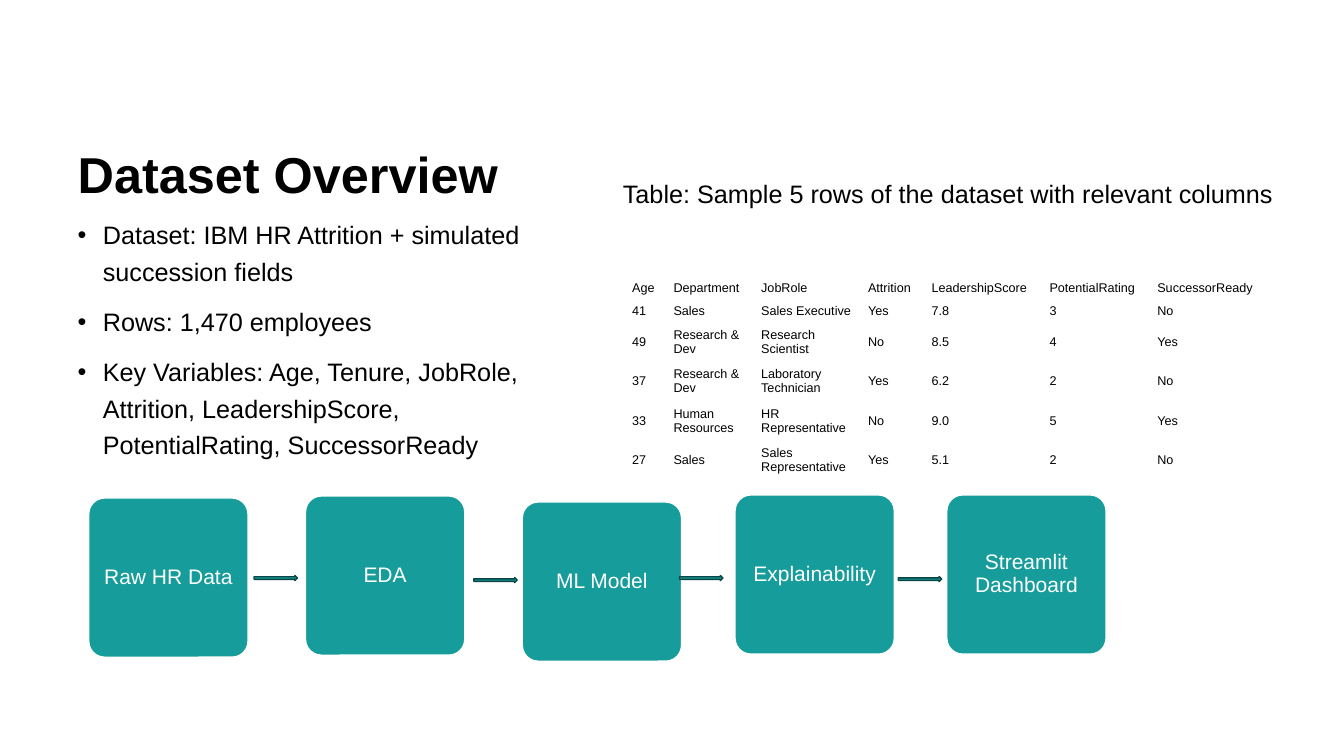
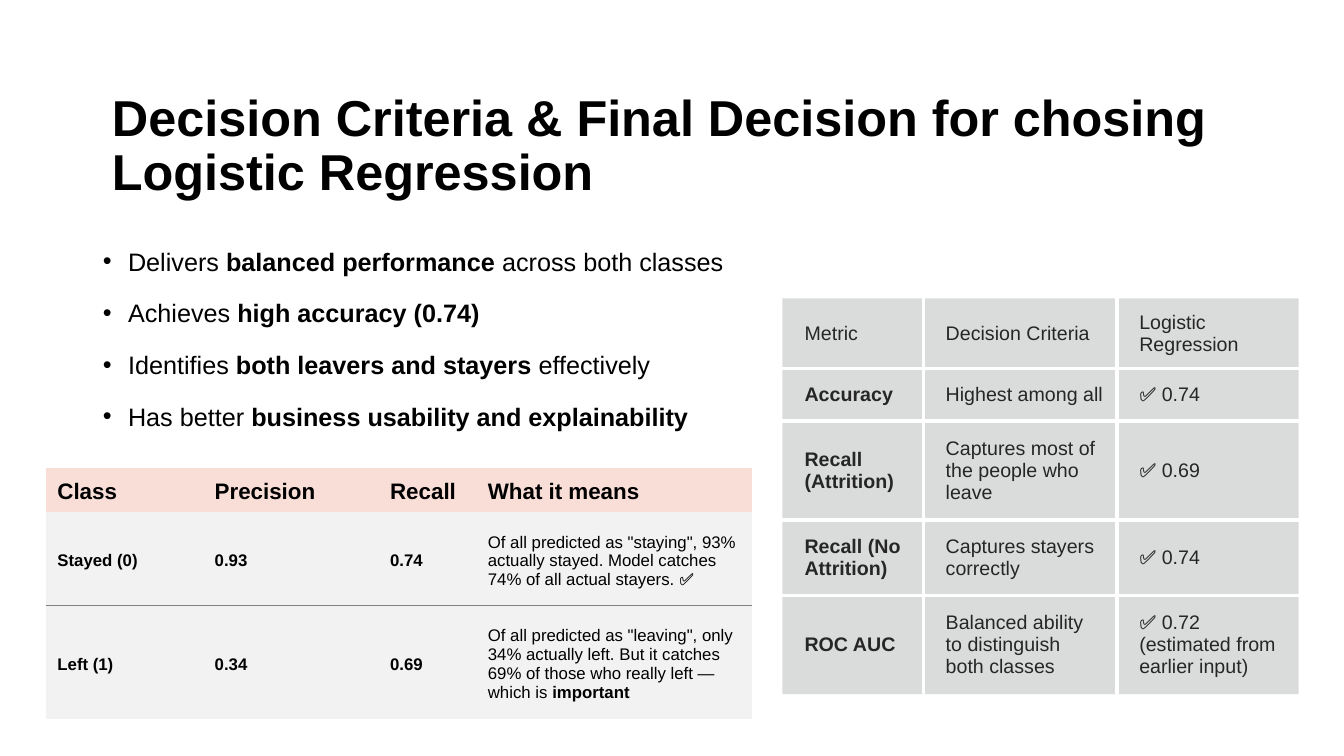
from dataclasses import dataclass
from typing import Optional

from lxml.etree import SubElement
from pptx import Presentation
from pptx.dml.color import RGBColor
from pptx.dml.fill import FillFormat
from pptx.enum.shapes import MSO_SHAPE
from pptx.enum.text import MSO_ANCHOR, MSO_AUTO_SIZE, PP_ALIGN
from pptx.oxml.ns import qn
from pptx.shapes.autoshape import Shape
from pptx.slide import Slide
from pptx.table import _Cell
from pptx.text.text import TextFrame
from pptx.util import Emu, Pt

SCALE = 9144
FONT = "Arial"
BLACK, WHITE, DARK = "000000", "FFFFFF", "262626"
TEAL, DEEP, GREY = "169C9A", "0A4443", "808080"
PINK, PALE, STONE = "F9DED8", "F2F2F2", "878E8B"
NO_GRID = "{2D5ABB26-0587-4C30-8999-92F81FD0307C}"


@dataclass(frozen=True)
class Box:
    x: int
    y: int
    w: int
    h: int


@dataclass(frozen=True)
class Step:
    text: str
    x: int
    y: int


@dataclass(frozen=True)
class Grid:
    x: int
    y: int
    cols: list[int]
    tall: list[int]
    rows: list[list[str]]
    pads: tuple[int, int, int, int]
    size: int
    head: int
    ink: str = BLACK
    top: Optional[str] = None
    fill: Optional[str] = None
    alpha: int = 100
    rule: Optional[str] = None
    thick: float = 0
    first: int = 0
    sides: bool = False


STEPS = [
    Step("Raw HR Data", 88, 494),
    Step("EDA", 303, 492),
    Step("ML Model", 518, 498),
    Step("Explainability", 729, 491),
    Step("Streamlit Dashboard", 939, 491),
]
ARROWS = [(252, 571), (470, 573), (674, 571), (891, 572)]

SAMPLE = Grid(
    622, 274, [41, 87, 106, 63, 117, 107, 117], [23, 23, 39, 39, 39, 39],
    [
        ["Age", "Department", "JobRole", "Attrition", "LeadershipScore",
         "PotentialRating", "SuccessorReady"],
        ["41", "Sales", "Sales Executive", "Yes", "7.8", "3", "No"],
        ["49", "Research & Dev", "Research Scientist", "No", "8.5", "4", "Yes"],
        ["37", "Research & Dev", "Laboratory Technician", "Yes", "6.2", "2", "No"],
        ["33", "Human Resources", "HR Representative", "No", "9.0", "5", "Yes"],
        ["27", "Sales", "Sales Representative", "Yes", "5.1", "2", "No"],
    ],
    (5, 3, 5, 3), 9, 9,
)
METRICS = Grid(
    776, 296, [140, 192, 180], [69, 52, 98, 75, 98],
    [
        ["Metric", "Decision Criteria", "Logistic Regression"],
        ["**Accuracy**", "Highest among all", "✅ 0.74"],
        ["**Recall (Attrition)**", "Captures most of the people who leave", "✅ 0.69"],
        ["**Recall (No Attrition)**", "Captures stayers correctly", "✅ 0.74"],
        ["**ROC AUC**", "Balanced ability to distinguish both classes",
         "✅ 0.72 (estimated from earlier input)"],
    ],
    (22, 13, 13, 13), 14, 14, ink=DARK, top=STONE, fill=STONE, alpha=30,
    rule=WHITE, thick=3, sides=True,
)
CLASSES = Grid(
    46, 464, [156, 174, 97, 273], [44, 93, 112],
    [
        ["**Class**", "**Precision**", "**Recall**", "**What it means**"],
        ["**Stayed (0)**", "**0.93**", "**0.74**",
         'Of all predicted as "staying", 93% actually stayed. '
         "Model catches 74% of all actual stayers. ✅"],
        ["**Left (1)**", "**0.34**", "**0.69**",
         'Of all predicted as "leaving", only 34% actually left. '
         "But it catches 69% of those who really left — which is **important**"],
    ],
    (11, 10, 11, 6), 12, 16, top=PINK, fill=PALE, rule=GREY, thick=0.75, first=1,
)


def px(count: int) -> Emu:
    return Emu(count * SCALE)


def tint(code: str) -> RGBColor:
    return RGBColor.from_string(code)


def paint(fill: FillFormat, code: Optional[str]) -> None:
    if code is None:
        fill.background()
        return
    fill.solid()
    fill.fore_color.rgb = tint(code)


def write(frame: TextFrame, text: str, *, size: float, ink: str = BLACK,
          bold: bool = False, align: PP_ALIGN = PP_ALIGN.LEFT,
          lead: Optional[float] = None, above: float = 0, below: float = 0,
          dent: int = 0) -> None:
    frame.word_wrap = True
    for index, line in enumerate(text.split("\n")):
        para = frame.add_paragraph() if index else frame.paragraphs[0]
        para.alignment = align
        para.line_spacing = lead
        para.space_before = Pt(above if index else 0)
        para.space_after = Pt(below)
        if dent:
            props = para._p.get_or_add_pPr()
            props.set("marL", str(px(dent)))
            props.set("indent", str(px(-25)))
            SubElement(props, qn("a:buChar")).set("char", "•")
        for turn, part in enumerate(line.split("**")):
            if part:
                run = para.add_run()
                run.text = part
                run.font.name = FONT
                run.font.size = Pt(size)
                run.font.bold = bold or turn % 2 == 1
                run.font.color.rgb = tint(ink)


def place(shape: Shape, box: Box) -> TextFrame:
    shape.left, shape.top = px(box.x), px(box.y)
    shape.width, shape.height = px(box.w), px(box.h)
    shape.text_frame.auto_size = MSO_AUTO_SIZE.NONE
    return shape.text_frame


def start(deck: Presentation, title: str, area: Box) -> Slide:
    slide = deck.slides.add_slide(deck.slide_layouts[1])
    frame = place(slide.shapes.title, area)
    frame.vertical_anchor = MSO_ANCHOR.BOTTOM
    write(frame, title, size=36, bold=True, lead=0.9)
    return slide


def points(slide: Slide, text: str, area: Box, dent: int, above: float,
           below: float) -> None:
    frame = place(slide.placeholders[1], area)
    frame.vertical_anchor = MSO_ANCHOR.TOP
    write(frame, text, size=18, lead=1.2, above=above, below=below, dent=dent)


def block(slide: Slide, kind: MSO_SHAPE, box: Box, line: str) -> Shape:
    shape = slide.shapes.add_shape(kind, px(box.x), px(box.y), px(box.w), px(box.h))
    shape.shadow.inherit = False
    paint(shape.fill, TEAL)
    shape.line.color.rgb = tint(line)
    shape.line.width = Pt(1)
    return shape


def pad(item: TextFrame | _Cell, pads: tuple[int, int, int, int]) -> None:
    item.margin_left, item.margin_top, item.margin_right, item.margin_bottom = map(px, pads)
    item.vertical_anchor = MSO_ANCHOR.MIDDLE


def edge(cell: _Cell, side: str, code: str, thick: float) -> None:
    line = SubElement(cell._tc.get_or_add_tcPr(), qn(f"a:ln{side}"))
    line.set("w", str(Pt(thick)))
    fill = SubElement(line, qn("a:solidFill"))
    SubElement(fill, qn("a:srgbClr")).set("val", code)


def draw(slide: Slide, grid: Grid) -> None:
    table = slide.shapes.add_table(
        len(grid.tall), len(grid.cols), px(grid.x), px(grid.y),
        px(sum(grid.cols)), px(sum(grid.tall))).table
    table.first_row = table.horz_banding = False
    table._tbl.tblPr.find(qn("a:tableStyleId")).text = NO_GRID
    for col, width in zip(table.columns, grid.cols):
        col.width = px(width)
    last, end = len(grid.tall) - 1, len(grid.cols) - 1
    for r, line in enumerate(grid.rows):
        table.rows[r].height = px(grid.tall[r])
        for c, text in enumerate(line):
            cell = table.cell(r, c)
            pad(cell, grid.pads)
            write(cell.text_frame, text, size=grid.size if r else grid.head, ink=grid.ink)
            marks = {
                "L": grid.sides and c > 0,
                "R": grid.sides and c < end,
                "T": r > grid.first,
                "B": grid.first <= r < last,
            }
            for side, shown in marks.items():
                if grid.rule and shown:
                    edge(cell, side, grid.rule, grid.thick)
            paint(cell.fill, grid.fill if r else grid.top)
            if grid.alpha < 100:
                tone = cell._tc.tcPr.find(qn("a:solidFill"))[0]
                SubElement(tone, qn("a:alpha")).set("val", str(grid.alpha * 1000))


def data(deck: Presentation) -> None:
    slide = start(deck, "Dataset Overview", Box(67, 59, 505, 149))
    points(slide, "Dataset: IBM HR Attrition + simulated succession fields\n"
           "Rows: 1,470 employees\n"
           "Key Variables: Age, Tenure, JobRole, Attrition, LeadershipScore, "
           "PotentialRating, SuccessorReady", Box(67, 207, 505, 345), 25, 10, 0)
    draw(slide, SAMPLE)
    note = slide.shapes.add_textbox(px(608), px(172), px(670), px(71))
    write(note.text_frame, "Table: Sample 5 rows of the dataset with relevant columns", size=18)
    for step in STEPS:
        shape = block(slide, MSO_SHAPE.ROUNDED_RECTANGLE, Box(step.x, step.y, 158, 158), WHITE)
        shape.adjustments[0] = 0.1
        pad(shape.text_frame, (10, 10, 10, 10))
        write(shape.text_frame, step.text, size=15, ink=WHITE, align=PP_ALIGN.CENTER, lead=0.9)
    for x, y in ARROWS:
        block(slide, MSO_SHAPE.RIGHT_ARROW, Box(x, y, 43, 5), DEEP)


def choice(deck: Presentation) -> None:
    slide = start(deck, "Decision Criteria & Final Decision for chosing Logistic Regression",
                  Box(101, 38, 1207, 167))
    draw(slide, METRICS)
    points(slide, "Delivers **balanced performance** across both classes\n"
           "Achieves **high accuracy (0.74)**\n"
           "Identifies **both leavers and stayers** effectively\n"
           "Has better **business usability and explainability**",
           Box(67, 233, 690, 225), 50, 5, 6)
    draw(slide, CLASSES)


def main() -> None:
    deck = Presentation()
    deck.slide_width, deck.slide_height = px(1333), px(750)
    data(deck)
    choice(deck)
    deck.save("out.pptx")


if __name__ == "__main__":
    main()
